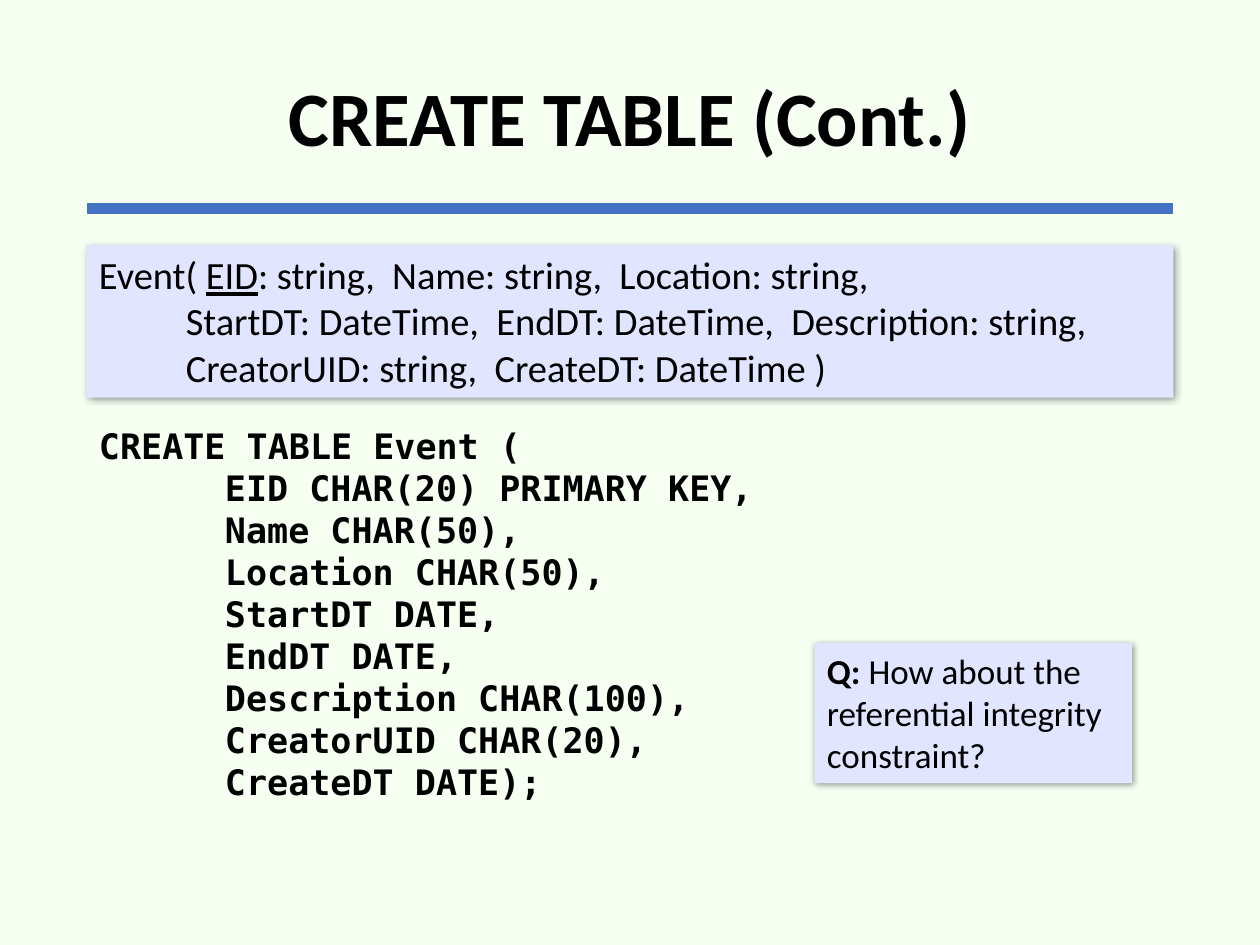
import pptx
import pptx.dml.color
import pptx.enum.shapes
import pptx.enum.text
import pptx.oxml
import pptx.oxml.ns
import pptx.util
from pptx.util import Pt

RGBColor = pptx.dml.color.RGBColor
BACKGROUND = RGBColor(0xF7, 0xFF, 0xF3)
RULE_BLUE = RGBColor(0x44, 0x72, 0xC4)
PANEL_LILAC = RGBColor(0xE2, 0xE5, 0xFF)
BLACK = RGBColor(0, 0, 0)

BODY_FONT = "Calibri"
CODE_FONT = "DejaVu Sans Mono"
LEFT = 49.5
WIDTH = 621

SCHEMA_LINES = [
    [("Event( ", {}), ("EID", {"underline": True}),
     (": string,  Name: string,  Location: string,", {})],
    [("StartDT: DateTime,  EndDT: DateTime,  Description: string,", {})],
    [("CreatorUID: string,  CreateDT: DateTime )", {})],
]
QUESTION_LINES = [
    [("Q: ", {"bold": True}), ("How about the referential integrity constraint?", {})],
]
CODE_LINES = [
    "CREATE TABLE Event (",
    "\tEID CHAR(20) PRIMARY KEY,",
    "\tName CHAR(50),",
    "\tLocation CHAR(50),",
    "\tStartDT DATE,",
    "\tEndDT DATE,",
    "\tDescription CHAR(100),",
    "\tCreatorUID CHAR(20),",
    "\tCreateDT DATE);",
]

NAMESPACE = pptx.oxml.ns.nsdecls("a")
SHADOW_XML = (
    f'<a:effectLst {NAMESPACE}>'
    f'<a:outerShdw blurRad="{Pt(4)}" dist="{Pt(1)}" dir="2700000" algn="tl" rotWithShape="0">'
    '<a:srgbClr val="000000"><a:alpha val="40000"/></a:srgbClr>'
    '</a:outerShdw></a:effectLst>'
)
TAB_XML = f'<a:tabLst {NAMESPACE}><a:tab pos="{Pt(72)}" algn="l"/></a:tabLst>'


def format_run(run, font_name, size, bold=False, underline=False):
    run.font.name = font_name
    run.font.size = Pt(size)
    run.font.color.rgb = BLACK
    run.font.bold = bold
    run.font.underline = underline


def add_text(slide, top, height, lines, font_name, size):
    box = slide.shapes.add_textbox(Pt(LEFT), Pt(top), Pt(WIDTH), Pt(height))
    frame = box.text_frame
    frame.word_wrap = True
    frame.text = "\n".join(lines)
    for paragraph in frame.paragraphs:
        for run in paragraph.runs:
            format_run(run, font_name, size, bold=True)
    return frame


def add_title(slide, text):
    frame = add_text(slide, 17.3, 104.4, [text], BODY_FONT, 44)
    frame.vertical_anchor = pptx.enum.text.MSO_ANCHOR.MIDDLE
    frame.paragraphs[0].alignment = pptx.enum.text.PP_ALIGN.CENTER
    frame.paragraphs[0].line_spacing = 0.9


def add_code(slide, lines):
    frame = add_text(slide, 239, 250.6, lines, CODE_FONT, 20)
    for paragraph in frame.paragraphs:
        paragraph._p.get_or_add_pPr().append(pptx.oxml.parse_xml(TAB_XML))
        paragraph.line_spacing = Pt(24)


def add_rule(slide, top):
    rule = slide.shapes.add_connector(
        pptx.enum.shapes.MSO_CONNECTOR.STRAIGHT,
        Pt(LEFT), Pt(top), Pt(LEFT + WIDTH), Pt(top))
    rule.line.color.rgb = RULE_BLUE
    rule.line.width = Pt(6)
    rule._element.spPr.append(pptx.oxml.parse_xml(f'<a:effectLst {NAMESPACE}/>'))


def add_panel(slide, left, top, width, height, lines, size, hanging_indent=0):
    panel = slide.shapes.add_shape(
        pptx.enum.shapes.MSO_SHAPE.RECTANGLE, Pt(left), Pt(top), Pt(width), Pt(height))
    panel.fill.solid()
    panel.fill.fore_color.rgb = PANEL_LILAC
    panel.line.fill.background()
    panel._element.spPr.append(pptx.oxml.parse_xml(SHADOW_XML))
    frame = panel.text_frame
    frame.word_wrap = True
    frame.auto_size = pptx.enum.text.MSO_AUTO_SIZE.SHAPE_TO_FIT_TEXT
    frame.vertical_anchor = pptx.enum.text.MSO_ANCHOR.TOP
    for index, pieces in enumerate(lines):
        paragraph = frame.add_paragraph() if index else frame.paragraphs[0]
        paragraph.alignment = pptx.enum.text.PP_ALIGN.LEFT
        if index and hanging_indent:
            paragraph._p.get_or_add_pPr().set("marL", str(Pt(hanging_indent)))
        for text, style in pieces:
            run = paragraph.add_run()
            run.text = text
            format_run(run, BODY_FONT, size, **style)


def main():
    presentation = pptx.Presentation()
    presentation.slide_width = Pt(720)
    presentation.slide_height = Pt(540)
    slide = presentation.slides.add_slide(presentation.slide_layouts[6])
    slide.background.fill.solid()
    slide.background.fill.fore_color.rgb = BACKGROUND

    add_rule(slide, 119.2)
    add_title(slide, "CREATE TABLE (Cont.)")
    add_code(slide, CODE_LINES)
    add_panel(slide, LEFT, 140.1, WIDTH, 87.2, SCHEMA_LINES, 22, hanging_indent=49.6)
    add_panel(slide, 465.4, 367.6, 181.4, 80, QUESTION_LINES, 20)

    presentation.save("out.pptx")


if __name__ == "__main__":
    main()
